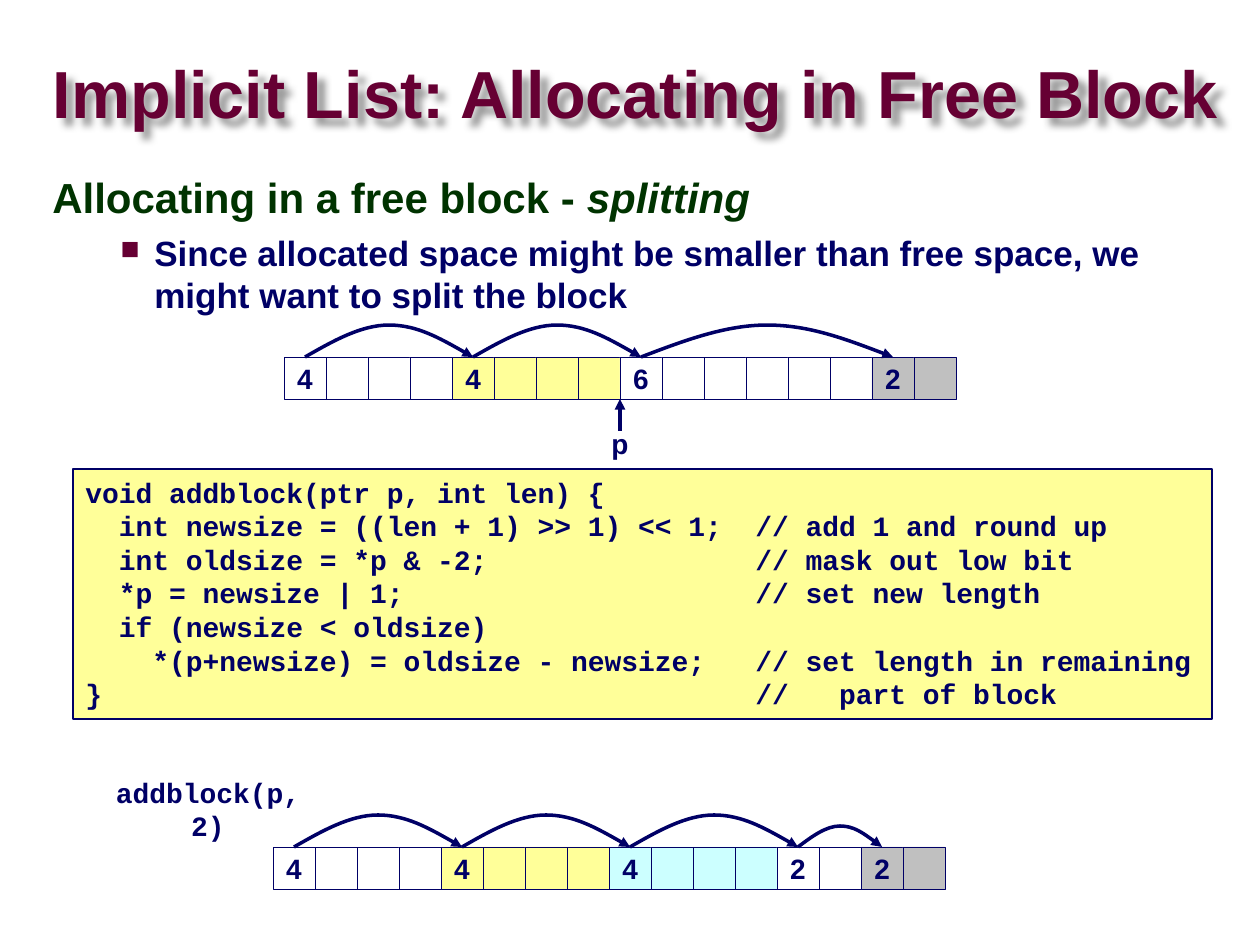
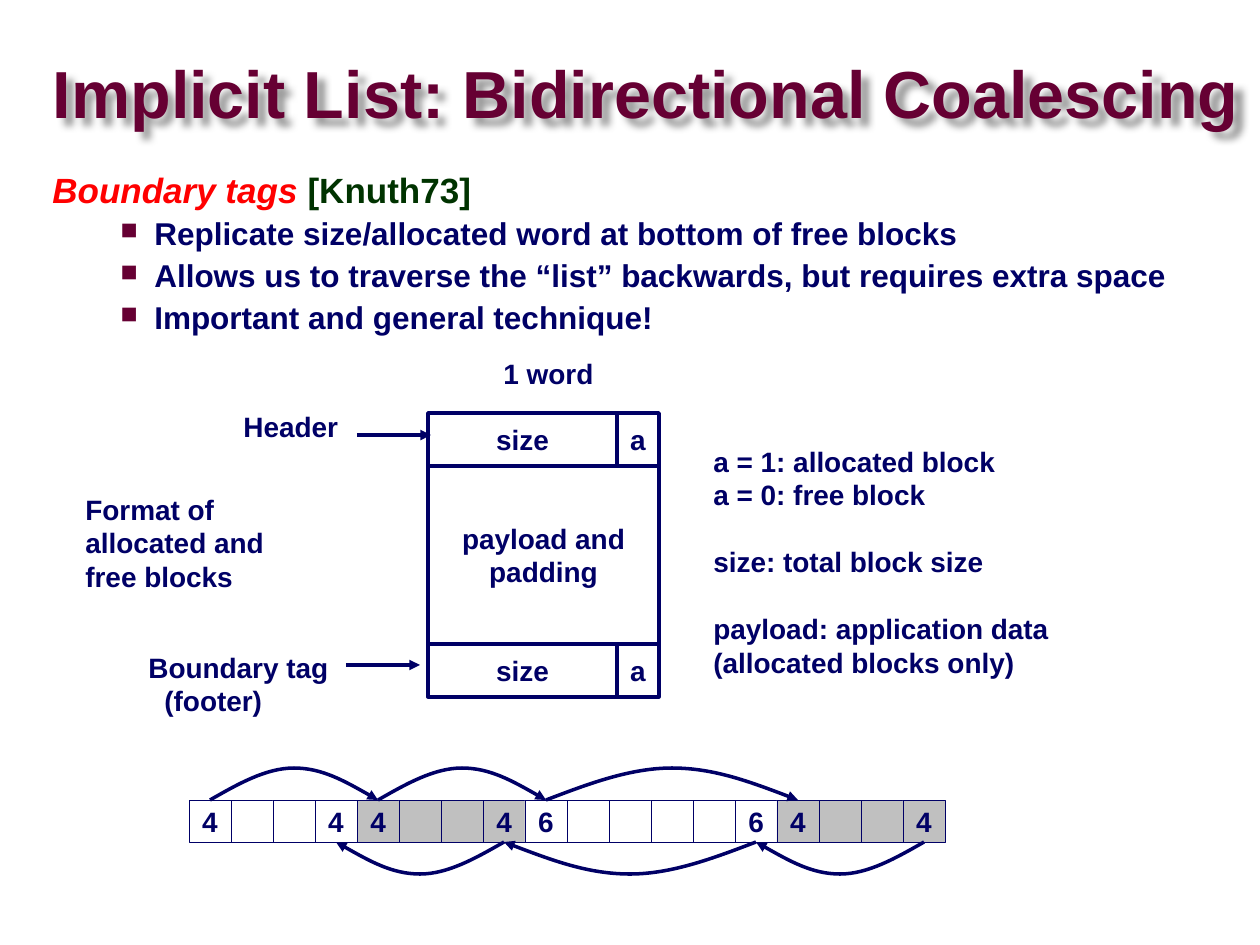
from lxml.etree import SubElement
from pptx import Presentation
from pptx.dml.color import RGBColor
from pptx.enum.shapes import MSO_CONNECTOR as Connector, MSO_SHAPE as Shape
from pptx.enum.text import MSO_ANCHOR as Anchor, PP_ALIGN as Align
from pptx.oxml.ns import qn
from pptx.util import Pt

SCALE = 914400 / 126  # EMU in one pixel
COLORS = {
    "title": "660033", "heading": "003300", "ink": "000066", "term": "FF0000",
    "white": "FFFFFF", "yellow": "FFFF99", "cyan": "CCFFFF", "gray": "C0C0C0",
    "shadow": "000000",
}
SANS, MONO = "Arial", "Courier New"
CELL = 42
ARC_HEIGHT = 32
# Bezier points of an arc, as shares of its span and height
ARC_POINTS = [(1 / 6, .5), (1 / 3, 1), (1 / 2, 1), (2 / 3, 1), (5 / 6, .5), (1, 0)]


def px(length):
    return round(length * SCALE)


def box_emu(box):
    return [px(length) for length in box]


def rgb(name):
    return RGBColor.from_string(COLORS[name])


def style_font(font, size, color="ink", family=SANS):
    font.name, font.size, font.bold = family, Pt(size), True
    font.color.rgb = rgb(color)


def write_lines(shape, lines, family=SANS, align=Align.LEFT, anchor=Anchor.TOP):
    frame = shape.text_frame
    frame.word_wrap = False
    frame.vertical_anchor = anchor
    for number, line in enumerate(lines):
        paragraph = frame.paragraphs[0] if number == 0 else frame.add_paragraph()
        paragraph.text = line
        paragraph.alignment = align
        style_font(paragraph.font, 16, family=family)
    return frame.paragraphs


def label(slide, box, lines, **style):
    return write_lines(slide.shapes.add_textbox(*box_emu(box)), lines, **style)


def panel(slide, box, fill, line_width, lines=(), align=Align.CENTER,
          anchor=Anchor.MIDDLE, family=SANS):
    shape = slide.shapes.add_shape(Shape.RECTANGLE, *box_emu(box))
    shape.shadow.inherit = False
    shape.fill.solid()
    shape.fill.fore_color.rgb = rgb(fill)
    shape.line.color.rgb = rgb("ink")
    shape.line.width = Pt(line_width)
    write_lines(shape, lines, family, align, anchor)


def make_arrow(shape):
    shape.line.color.rgb = rgb("ink")
    shape.line.width = Pt(2)
    SubElement(shape.line._get_or_add_ln(), qn("a:tailEnd"), type="triangle")


def straight_arrow(slide, start, end):
    arrow = slide.shapes.add_connector(Connector.STRAIGHT, *box_emu(start + end))
    make_arrow(arrow)
    SubElement(arrow._element.spPr, qn("a:effectLst"))


def arc_arrow(slide, start_x, end_x, y, direction):
    """Arc from start_x to end_x; direction -1 bends up, 1 bends down."""
    span = end_x - start_x
    height = direction * min(ARC_HEIGHT, abs(span) / 4)
    builder = slide.shapes.build_freeform(px(start_x), px(y))
    builder.add_line_segments(
        [(px(start_x + span * u), px(y + height * v)) for u, v in ARC_POINTS], close=False)
    arc = builder.convert_to_shape()
    arc.shadow.inherit = False
    arc.fill.background()
    make_arrow(arc)
    # Turn each three straight segments into one curve
    outline = next(arc._element.iter(qn("a:path")))
    segments = outline.findall(qn("a:lnTo"))
    for first in (0, 3):
        curve = SubElement(outline, qn("a:cubicBezTo"))
        for segment in segments[first:first + 3]:
            curve.append(segment[0])
            outline.remove(segment)


def heap_row(slide, left, top, blocks, footers=False):
    """Row of words; each block of (size, fill) is labelled with its size."""
    heads, tails = [], []
    x = left
    for size, fill in blocks:
        labelled = {0, size - 1} if footers else {0}
        for word in range(size):
            panel(slide, (x + word * CELL, top, CELL, CELL), fill, .25,
                  [str(size)] if word in labelled else [])
        heads.append(x + CELL / 2)
        x += size * CELL
        tails.append(x - CELL / 2)
    for here, following in zip(heads, heads[1:]):
        arc_arrow(slide, here, following, top, -1)
    if footers:
        for previous, here in zip(tails, tails[1:]):
            arc_arrow(slide, here, previous, top + CELL, 1)


def add_title(slide, text):
    title = slide.shapes.add_textbox(*box_emu((53, 58, 1207, 79)))
    frame = title.text_frame
    frame.word_wrap = True
    frame.vertical_anchor = Anchor.MIDDLE
    frame.margin_left = frame.margin_right = frame.margin_top = frame.margin_bottom = 0
    paragraph = frame.paragraphs[0]
    paragraph.text = text
    paragraph.line_spacing = .87
    style_font(paragraph.font, 38, "title")
    # Soft shadow behind the letters
    effects = SubElement(title._element.spPr, qn("a:effectLst"))
    shadow = SubElement(effects, qn("a:outerShdw"), blurRad="50800", dist="63500",
                        dir="2700000", algn="tl", rotWithShape="0")
    tint = SubElement(shadow, qn("a:srgbClr"), val=COLORS["shadow"])
    SubElement(tint, qn("a:alpha"), val="40000")


def set_indent(paragraph, left, first=0):
    properties = paragraph._p.get_or_add_pPr()
    properties.set("marL", str(px(left)))
    properties.set("indent", str(px(first)))
    return properties


def add_outline(slide, box, heading, heading_size, heading_spacing,
                bullets, bullet_size, bullet_spacing):
    """Heading of (text, colour, italic) runs, then square bullets."""
    frame = slide.shapes.add_textbox(*box_emu(box)).text_frame
    frame.word_wrap = True
    paragraph = frame.paragraphs[0]
    paragraph.line_spacing = heading_spacing
    set_indent(paragraph, 53, -53)
    for text, color, italic in heading:
        run = paragraph.add_run()
        run.text = text
        style_font(run.font, heading_size, color)
        run.font.italic = italic
    for text in bullets:
        paragraph = frame.add_paragraph()
        paragraph.text = text
        paragraph.level = 1
        paragraph.line_spacing = bullet_spacing
        paragraph.space_before = Pt(bullet_size / 4)
        properties = set_indent(paragraph, 102, -34)
        SubElement(SubElement(properties, qn("a:buClr")), qn("a:srgbClr"),
                   val=COLORS["title"])
        SubElement(properties, qn("a:buSzPct"), val="75000")
        SubElement(properties, qn("a:buChar"), char="■")
        style_font(paragraph.font, bullet_size)


def block_format(slide, left, top):
    """Header, payload and footer of one block, with their captions."""
    size_width, flag_width, tag_height, payload_height = 189, 42, 53, 178
    footer_top = top + tag_height + payload_height
    panel(slide, (left, top + tag_height, size_width + flag_width, payload_height),
          "white", 2, ["payload and", "padding"])
    for tag_top in (top, footer_top):
        panel(slide, (left, tag_top, size_width, tag_height), "white", 2, ["size"])
        panel(slide, (left + size_width, tag_top, flag_width, tag_height),
              "white", 2, ["a"])
    # Captions
    label(slide, (left + 63, top - 63, 117, 47), ["1 word"])
    label(slide, (left - 197, top - 10, 120, 47), ["Header"])
    label(slide, (left - 355, top + 73, 204, 113),
          ["Format of", "allocated and", "free blocks"])
    footer_caption = label(slide, (left - 292, footer_top, 205, 81),
                           ["Boundary tag", "(footer)"])
    set_indent(footer_caption[1], 16)
    straight_arrow(slide, (left - 71, top + 22), (left + 3, top + 22))
    straight_arrow(slide, (left - 82, footer_top + 21), (left - 8, footer_top + 21))
    # Legend, with a line's gap before each new term
    legend = label(slide, (left + 273, top + 25, 362, 282), [
        "a = 1: allocated block", "a = 0: free block", "size: total block size",
        "payload: application data", "(allocated blocks only)"])
    for term in legend[2:4]:
        term.space_before = Pt(19)


def splitting_slide(slide):
    add_title(slide, "Implicit List: Allocating in Free Block")
    add_outline(slide, (40, 169, 1145, 160),
                [("Allocating in a free block - ", "heading", False),
                 ("splitting", "heading", True)], 24, .95,
                ["Since allocated space might be smaller than free space, "
                 "we might want to split the block"], 20, 1)
    # Heap before the split, with its pointer
    heap_row(slide, 284, 357,
             [(4, "white"), (4, "yellow"), (6, "white"), (2, "gray")])
    straight_arrow(slide, (620, 431), (620, 399))
    label(slide, (599, 420, 43, 47), ["p"])
    # Code
    panel(slide, (73, 469, 1139, 250), "yellow", 1, [
        "void addblock(ptr p, int len) {",
        "  int newsize = ((len + 1) >> 1) << 1;  // add 1 and round up",
        "  int oldsize = *p & -2;                // mask out low bit",
        "  *p = newsize | 1;                     // set new length",
        "  if (newsize < oldsize)",
        "    *(p+newsize) = oldsize - newsize;   // set length in remaining",
        "}                                       //   part of block",
    ], Align.LEFT, Anchor.TOP, MONO)
    # Heap after the split
    label(slide, (84, 769, 248, 43), ["addblock(p, 2)"], family=MONO,
          align=Align.CENTER)
    heap_row(slide, 273, 847, [(4, "white"), (4, "yellow"), (4, "cyan"),
                               (2, "white"), (2, "gray")])


def coalescing_slide(slide):
    add_title(slide, "Implicit List: Bidirectional Coalescing")
    add_outline(slide, (40, 169, 1145, 150),
                [("Boundary tags", "term", True), (" [Knuth73]", "heading", False)],
                20, .85,
                ["Replicate size/allocated word at bottom of free blocks",
                 "Allows us to traverse the “list” backwards, but requires extra space",
                 "Important and general technique!"], 18, .9)
    block_format(slide, 428, 413)
    heap_row(slide, 189, 800, [(4, "white"), (4, "gray"), (6, "white"), (4, "gray")],
             footers=True)


deck = Presentation()
deck.slide_width, deck.slide_height = px(1260), px(945)
for build_slide in (splitting_slide, coalescing_slide):
    build_slide(deck.slides.add_slide(deck.slide_layouts[6]))
deck.save("out.pptx")
